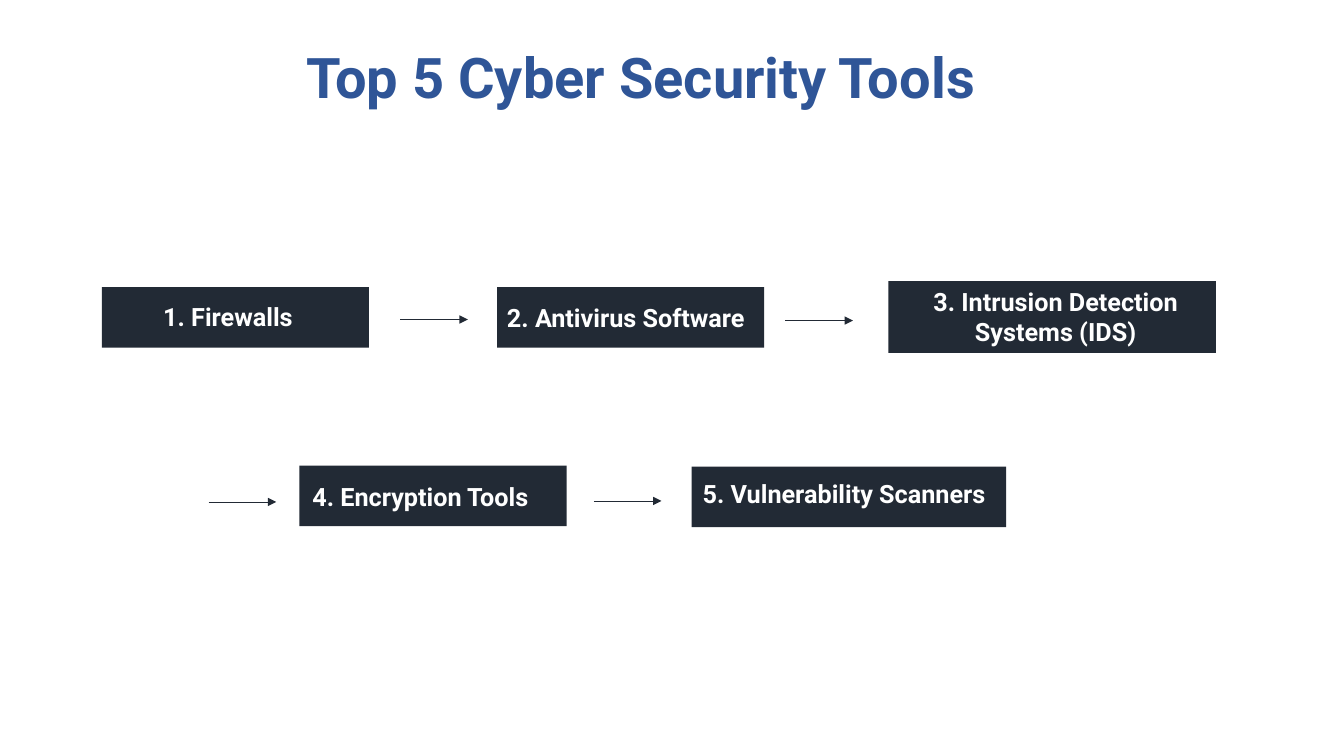
"""Build the slide listing five cyber security tools in a flow."""
import pptx
import pptx.util
import pptx.dml.color
import pptx.enum.shapes
import pptx.enum.text
import pptx.oxml
import pptx.oxml.ns

Inches = pptx.util.Inches
Pt = pptx.util.Pt
RGBColor = pptx.dml.color.RGBColor
ALIGN = pptx.enum.text.PP_ALIGN

BLUE = RGBColor(0x2F, 0x55, 0x97)
NAVY = RGBColor(0x22, 0x2A, 0x35)
WHITE = RGBColor(0xFF, 0xFF, 0xFF)
FONT = "Roboto"
ARROW_LENGTH = 0.67

TITLE = ("Top 5 Cyber Security Tools", (2.94, 0.37, 7.14, 0.77))
# Each tool: label, bar (left, top, width, height), label box, wrap, alignment
TOOLS = [
    ("1. Firewalls", (1.01, 2.85, 2.65, 0.6), (1.52, 2.94, 1.52, 0.4), False, ALIGN.LEFT),
    ("2. Antivirus Software", (4.93, 2.85, 2.65, 0.6), (4.93, 2.95, 6.67, 0.4), True, ALIGN.LEFT),
    ("3. Intrusion Detection Systems (IDS)", (8.81, 2.79, 3.25, 0.71),
     (8.91, 2.79, 3.12, 0.71), True, ALIGN.CENTER),
    ("4. Encryption Tools", (2.97, 4.62, 2.65, 0.6), (3, 4.73, 6.67, 0.4), True, ALIGN.LEFT),
    ("5. Vulnerability Scanners", (6.86, 4.63, 3.12, 0.6), (6.87, 4.7, 6.67, 0.4), True, ALIGN.LEFT),
]
ARROWS = [(3.97, 3.17), (7.79, 3.18), (2.07, 4.98), (5.89, 4.97)]


def add_label(s, text, box, size, color, wrap=False, align=ALIGN.LEFT):
    tf = s.shapes.add_textbox(*map(Inches, box)).text_frame
    tf.text = text
    tf.word_wrap = wrap
    tf.auto_size = pptx.enum.text.MSO_AUTO_SIZE.SHAPE_TO_FIT_TEXT
    p = tf.paragraphs[0]
    p.alignment = align
    r = p.runs[0]
    r.font.name = FONT
    r.font.size = Pt(size)
    r.font.bold = True
    r.font.color.rgb = color


def add_bar(s, box):
    sp = s.shapes.add_shape(pptx.enum.shapes.MSO_SHAPE.RECTANGLE, *map(Inches, box))
    sp.shadow.inherit = False
    sp.fill.solid()
    sp.fill.fore_color.rgb = NAVY
    sp.line.fill.background()


def add_arrow(s, x, y):
    c = s.shapes.add_connector(pptx.enum.shapes.MSO_CONNECTOR.STRAIGHT,
                               Inches(x), Inches(y), Inches(x + ARROW_LENGTH), Inches(y))
    c.line.color.rgb = NAVY
    c.line.width = Pt(0.5)
    tail = pptx.oxml.parse_xml(f'<a:tailEnd {pptx.oxml.ns.nsdecls("a")} type="triangle"/>')
    c.line._get_or_add_ln().append(tail)
    c._element.spPr.append(pptx.oxml.parse_xml(f'<a:effectLst {pptx.oxml.ns.nsdecls("a")}/>'))


def main():
    prs = pptx.Presentation()
    prs.slide_width, prs.slide_height = Inches(13.33), Inches(7.5)
    s = prs.slides.add_slide(prs.slide_layouts[6])
    add_label(s, *TITLE, 40, BLUE)
    for _, bar, _, _, _ in TOOLS:
        add_bar(s, bar)
    for text, _, box, wrap, align in TOOLS:
        add_label(s, text, box, 18, WHITE, wrap, align)
    for x, y in ARROWS:
        add_arrow(s, x, y)
    prs.save("out.pptx")


if __name__ == "__main__":
    main()
